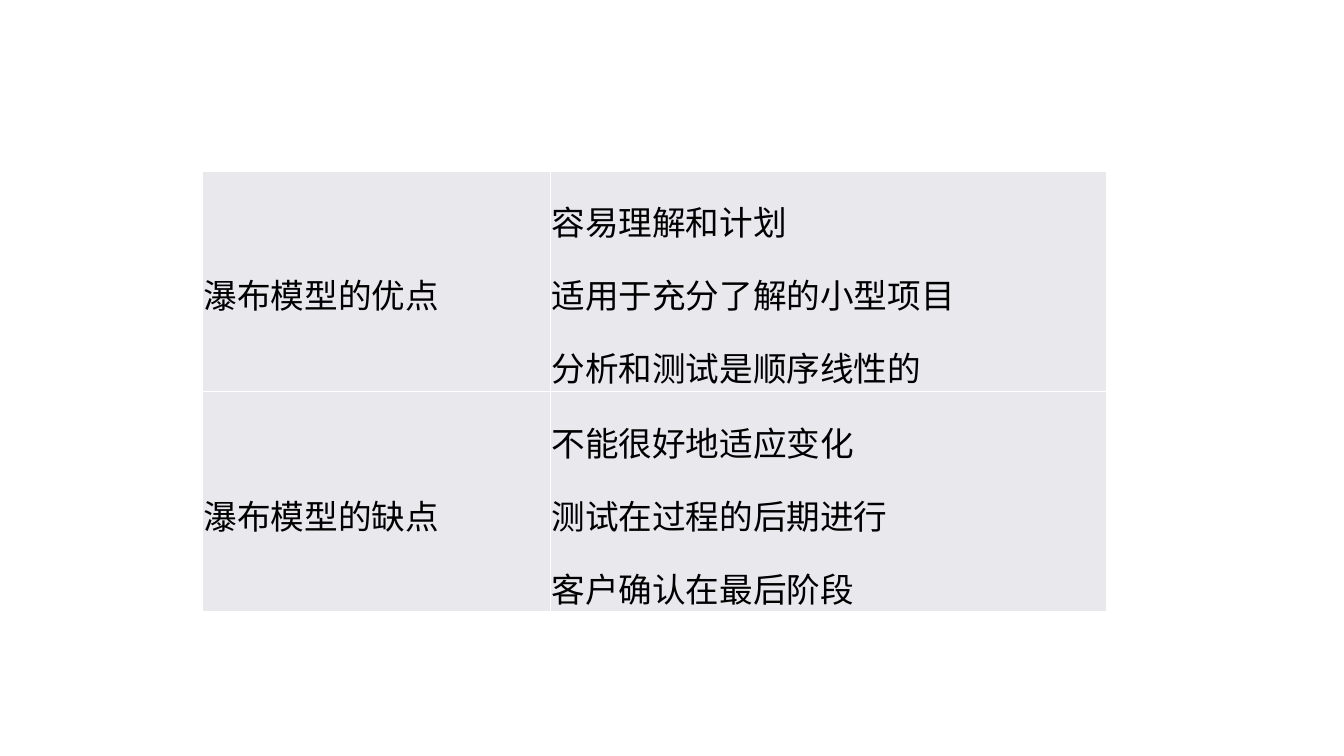
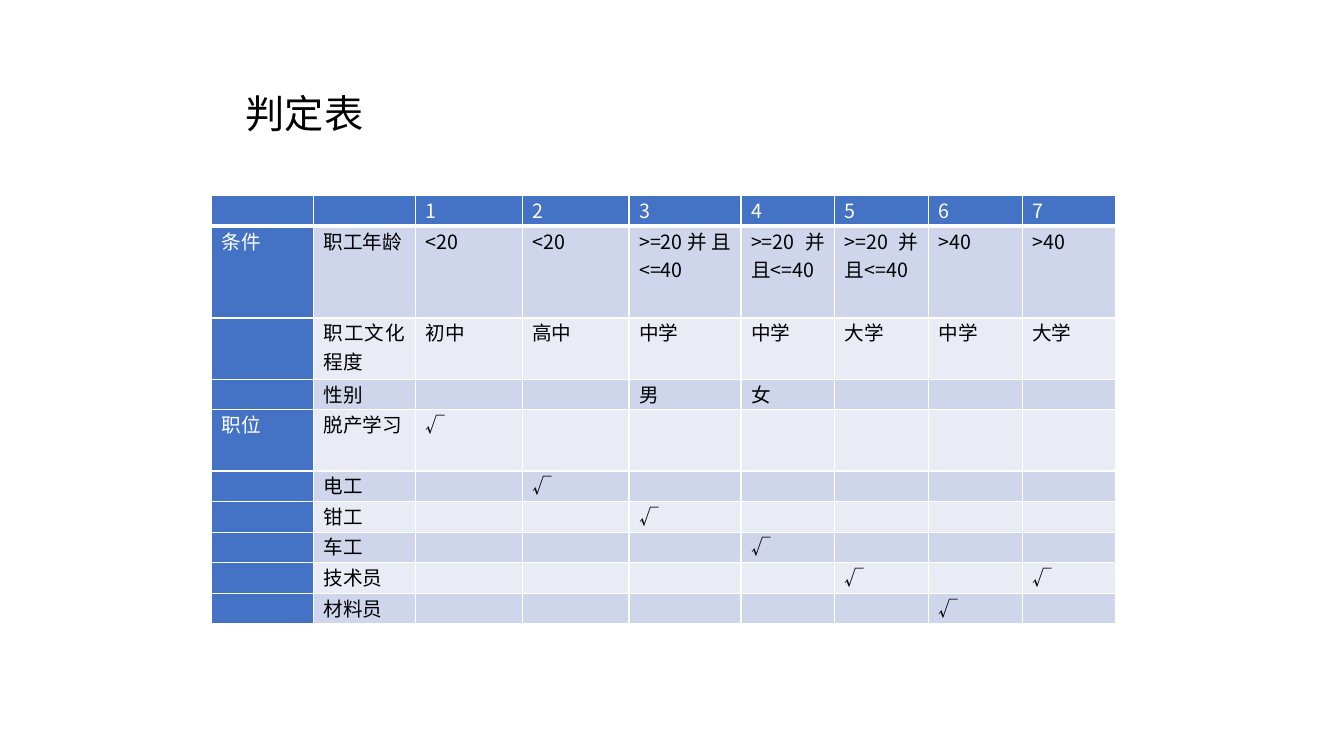
from lxml import etree
from pptx import Presentation
from pptx.dml.color import RGBColor
from pptx.enum import text
from pptx.oxml import ns
from pptx.util import Inches, Pt

WHITE = RGBColor(0xFF, 0xFF, 0xFF)
BLACK = RGBColor(0x00, 0x00, 0x00)
GREY = RGBColor(0xE8, 0xE8, 0xED)
BLUE = RGBColor(0x44, 0x72, 0xC4)
BAND_DARK = RGBColor(0xCF, 0xD5, 0xEA)
BAND_LIGHT = RGBColor(0xE9, 0xEB, 0xF5)
CJK_FONT = "Noto Sans CJK SC"


def style_paragraph(p, size, name, color):
    p.font.size = Pt(size)
    p.font.name = name
    p.font.color.rgb = color
    ea = etree.SubElement(p.font._element, ns.qn("a:ea"))
    ea.set("typeface", CJK_FONT)


def add_grid(s, left, top, col_widths, row_heights, rows):
    """Add a plain table with white rules and return it."""
    frame = s.shapes.add_table(len(rows), len(col_widths), left, top,
                               sum(col_widths), sum(row_heights))
    table = frame.table
    table.first_row = table.horz_banding = False
    for column, width in zip(table.columns, col_widths):
        column.width = width
    for row, height, values in zip(table.rows, row_heights, rows):
        row.height = height
        for cell, value in zip(row.cells, values):
            cell.text = value
            tc_pr = cell._tc.get_or_add_tcPr()
            for side in ("lnL", "lnR", "lnT", "lnB"):
                ln = etree.SubElement(tc_pr, ns.qn("a:" + side), w=str(Pt(1)))
                fill = etree.SubElement(ln, ns.qn("a:solidFill"))
                etree.SubElement(fill, ns.qn("a:srgbClr"), val=str(WHITE))
    return table


prs = Presentation()
prs.slide_width = Inches(13.33)
prs.slide_height = Inches(7.5)
blank = prs.slide_layouts[6]

# Slide 1: strengths and weaknesses of the waterfall model
s = prs.slides.add_slide(blank)
waterfall = [
    ("瀑布模型的优点", "容易理解和计划\v适用于充分了解的小型项目\v分析和测试是顺序线性的"),
    ("瀑布模型的缺点", "不能很好地适应变化\v测试在过程的后期进行\v客户确认在最后阶段"),
]
table = add_grid(s, Inches(2.01), Inches(1.7), [Inches(3.45), Inches(5.52)],
                 [Inches(2.05)] * 2, waterfall)
for cell in table.iter_cells():
    cell.fill.solid()
    cell.fill.fore_color.rgb = GREY
    cell.vertical_anchor = text.MSO_ANCHOR.MIDDLE
    cell.margin_left = cell.margin_right = cell.margin_top = Inches(0.01)
    cell.margin_bottom = 0
    p = cell.text_frame.paragraphs[0]
    p.line_spacing = 1.5
    style_paragraph(p, 24, "Arial", BLACK)

# Slide 2: decision table
s = prs.slides.add_slide(blank)
MIDDLE_AGE = ">=20并且<=40"
conditions = [
    ["", "", "1", "2", "3", "4", "5", "6", "7"],
    ["条件", "职工年龄", "<20", "<20", MIDDLE_AGE, MIDDLE_AGE, MIDDLE_AGE, ">40", ">40"],
    ["", "职工文化程度", "初中", "高中", "中学", "中学", "大学", "中学", "大学"],
    ["", "性别", "", "", "男", "女", "", "", ""],
]
positions = [("脱产学习", [1]), ("电工", [2]), ("钳工", [3]), ("车工", [4]),
             ("技术员", [5, 7]), ("材料员", [6])]
actions = [["", job] + ["√" if rule in rules else "" for rule in range(1, 8)]
           for job, rules in positions]
actions[0][0] = "职位"

col_widths = [Inches(w) for w in (1.01, 1.01, 1.06, 1.06, 1.11, 0.93, 0.93, 0.93, 0.93)]
row_lines = [1, 3, 2, 1, 2, 1, 1, 1, 1, 1]
line_height = Inches(4.25) // sum(row_lines)
table = add_grid(s, Inches(2.1), Inches(1.94), col_widths,
                 [n * line_height for n in row_lines], conditions + actions)
for i, row in enumerate(table.rows):
    for j, cell in enumerate(row.cells):
        heading = i == 0 or j == 0
        cell.fill.solid()
        cell.fill.fore_color.rgb = BLUE if heading else BAND_DARK if i % 2 else BAND_LIGHT
        cell.margin_left = cell.margin_right = Inches(0.1)
        cell.margin_top = cell.margin_bottom = 0
        p = cell.text_frame.paragraphs[0]
        p.alignment = text.PP_ALIGN.JUSTIFY
        style_paragraph(p, 14, CJK_FONT, WHITE if heading else BLACK)
for cell in table.rows[0].cells:
    cell._tc.tcPr.find(ns.qn("a:lnB")).set("w", str(Pt(3)))

title = s.shapes.add_textbox(Inches(2.34), Inches(0.84), Inches(1.73), Inches(0.57))
tf = title.text_frame
tf.word_wrap = True
tf.auto_size = text.MSO_AUTO_SIZE.SHAPE_TO_FIT_TEXT
tf.text = "判定表"
style_paragraph(tf.paragraphs[0], 28, "Arial", BLACK)

prs.save("out.pptx")
